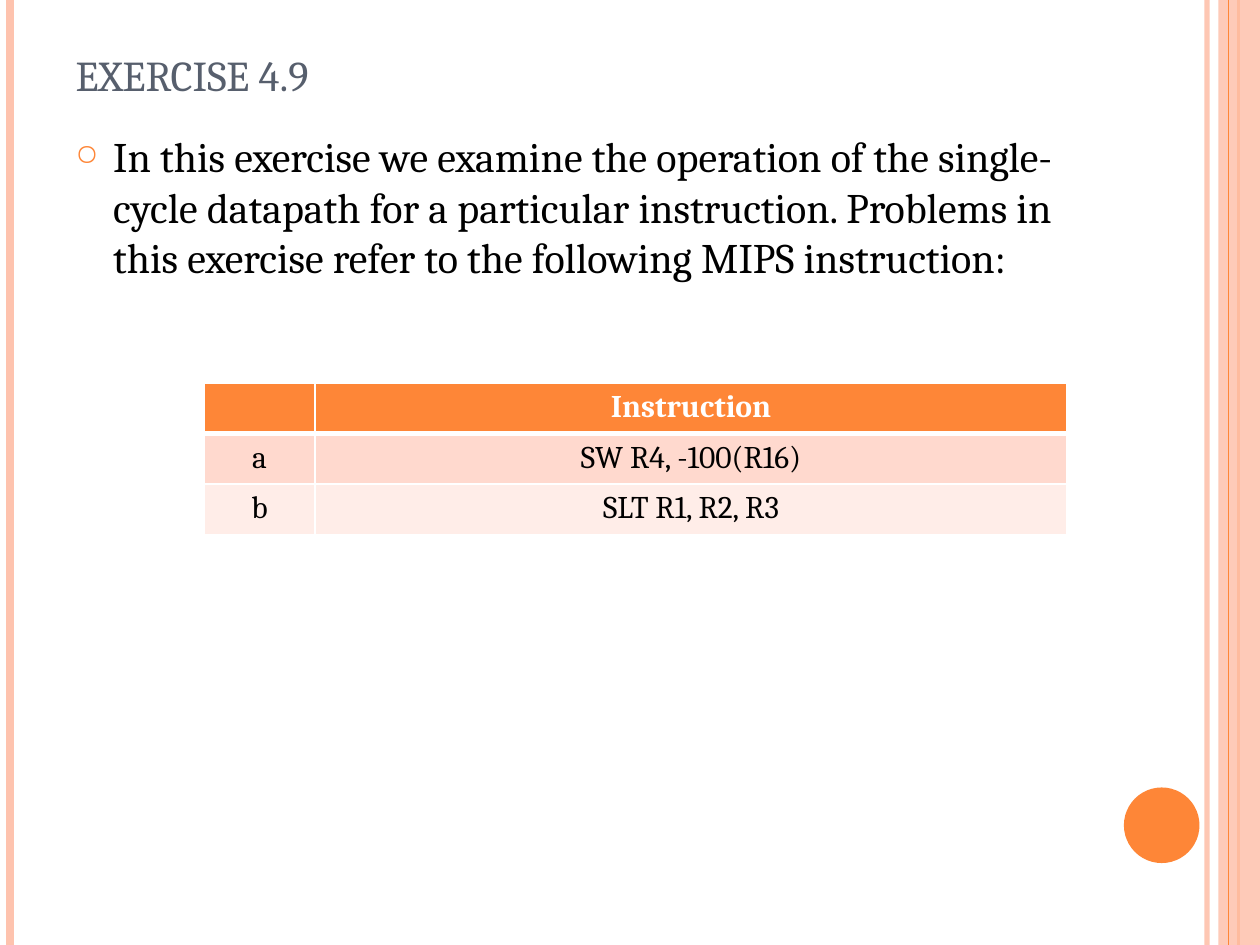
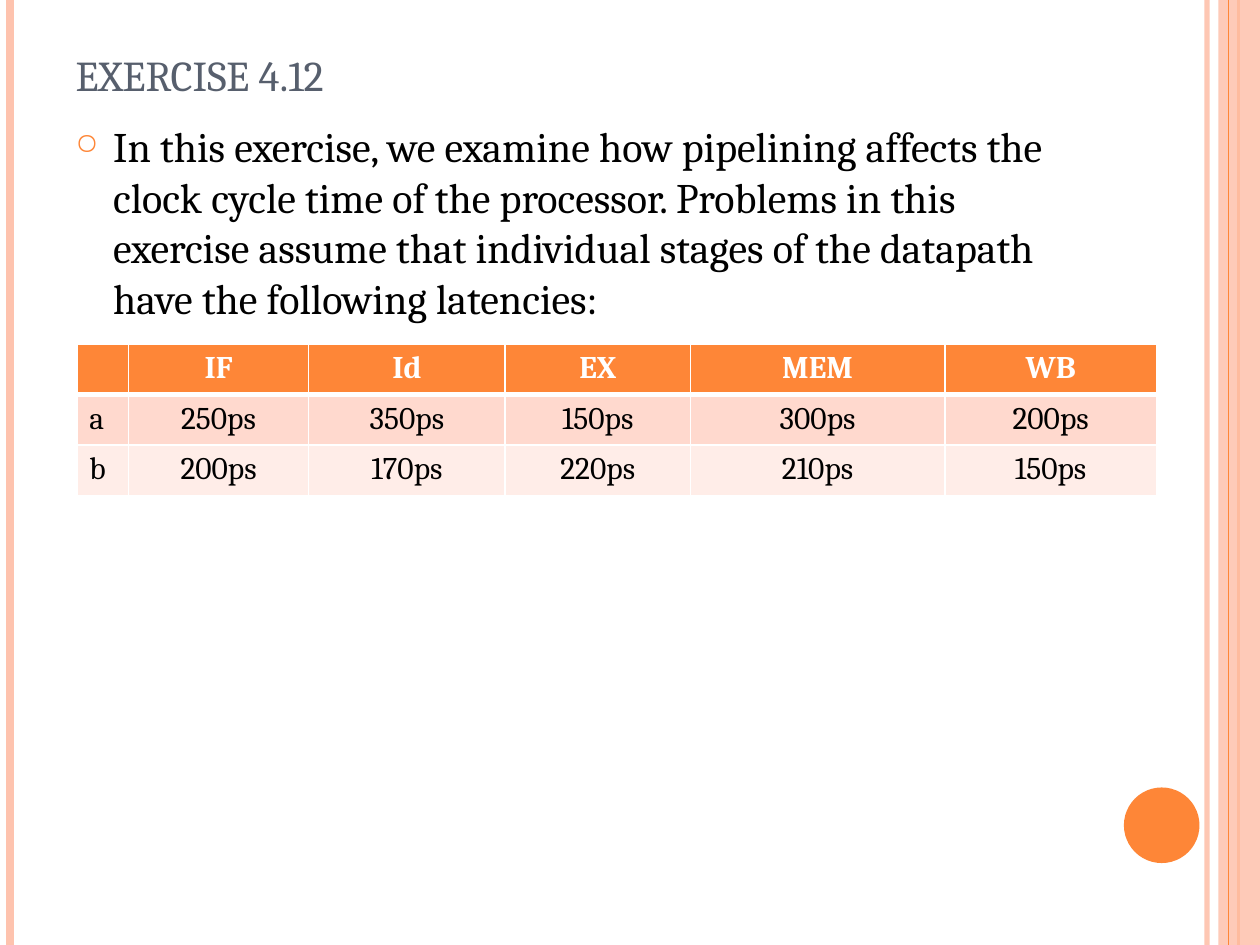
from dataclasses import dataclass

from lxml.etree import SubElement
from pptx import Presentation
from pptx.dml.color import RGBColor
from pptx.enum.shapes import MSO_CONNECTOR, MSO_SHAPE
from pptx.enum.text import MSO_ANCHOR, MSO_AUTO_SIZE, PP_ALIGN
from pptx.oxml.ns import qn
from pptx.util import Inches, Pt


@dataclass(frozen=True)
class Theme:
    font: str = "Cambria"
    title_size: float = 24.3
    body_size: float = 24
    table_size: float = 18
    bullet_percent: int = 70
    orange: str = "FE8637"
    peach: str = "FEC3AE"
    slate: str = "575F6D"
    black: str = "000000"
    white: str = "FFFFFF"
    row_tints: tuple = ("FFD9CE", "FFEDE8")


THEME = Theme()
WIDTH, HEIGHT = Inches(10), Inches(7.5)
COLUMNS, ROWS = 100, 75
LEFT_MARGIN, TEXT_COLUMNS = 5, 81.7
TABLE_ROW = 4

# Vertical rules: column, colour, weight in points, opacity in percent
RULES = [
    (95.8, THEME.peach, 3, 93),
    (0.8, THEME.peach, 4.5, 100),
    (98.3, THEME.orange, 1.5, 100),
]
BAND_RULE = (97.5, THEME.orange, 0.75, 100)


def across(columns):
    return round(WIDTH * columns / COLUMNS)


def down(rows):
    return round(HEIGHT * rows / ROWS)


def grid_box(left, top, width, height):
    return across(left), down(top), across(width), down(height)


def set_opacity(shape, percent):
    if percent < 100:
        for color in shape.element.spPr.iter(qn("a:srgbClr")):
            SubElement(color, qn("a:alpha"), val=str(percent * 1000))


def style_text(para, size, color, bold=False):
    for span in para.runs:
        span.font.name = THEME.font
        span.font.size = Pt(size)
        span.font.bold = bold
        span.font.color.rgb = RGBColor.from_string(color)


# Shared frame
def add_rule(page, column, color, weight, opacity):
    rule = page.shapes.add_connector(
        MSO_CONNECTOR.STRAIGHT, across(column), 0, across(column), HEIGHT)
    rule.line.color.rgb = RGBColor.from_string(color)
    rule.line.width = Pt(weight)
    set_opacity(rule, opacity)
    SubElement(rule.element.spPr, qn("a:effectLst"))


def add_filled(page, kind, box, color, opacity=100):
    shape = page.shapes.add_shape(kind, *box)
    shape.shadow.inherit = False
    shape.fill.solid()
    shape.fill.fore_color.rgb = RGBColor.from_string(color)
    set_opacity(shape, opacity)
    shape.line.fill.background()


def add_frame(page):
    for rule in RULES:
        add_rule(page, *rule)
    add_filled(page, MSO_SHAPE.RECTANGLE, grid_box(96.7, 0, 3.3, ROWS), THEME.peach, 87)
    add_rule(page, *BAND_RULE)
    add_filled(page, MSO_SHAPE.OVAL, grid_box(89.2, 62.5, 6, 6), THEME.orange)


# Title and body text
def set_title(page, text):
    title = page.shapes.title
    title.left, title.top, title.width, title.height = grid_box(
        LEFT_MARGIN, 3, TEXT_COLUMNS, 5.4)
    frame = title.text_frame
    frame.text = text
    frame.auto_size = MSO_AUTO_SIZE.NONE
    frame.vertical_anchor = MSO_ANCHOR.BOTTOM
    para = frame.paragraphs[0]
    para.alignment = PP_ALIGN.LEFT
    style_text(para, THEME.title_size, THEME.slate)


def add_bullet(para):
    properties = para._p.get_or_add_pPr()
    indent = Inches(0.3)
    properties.set("marL", str(indent))
    properties.set("indent", str(-indent))
    color = SubElement(properties, qn("a:buClr"))
    SubElement(color, qn("a:srgbClr"), val=THEME.orange)
    SubElement(properties, qn("a:buSzPct"), val=str(THEME.bullet_percent * 1000))
    SubElement(properties, qn("a:buChar"), char="○")


def add_body(page, text, top, height):
    box = page.shapes.add_textbox(*grid_box(LEFT_MARGIN, top, TEXT_COLUMNS, height))
    frame = box.text_frame
    frame.word_wrap = True
    frame.text = text
    para = frame.paragraphs[0]
    para.space_before = Pt(6)
    add_bullet(para)
    style_text(para, THEME.body_size, THEME.black)


# Tables
def set_borders(cell, top, bottom):
    properties = cell._tc.get_or_add_tcPr()
    for side, weight in (("L", 1), ("R", 1), ("T", top), ("B", bottom)):
        line = SubElement(properties, qn(f"a:ln{side}"), w=str(Pt(weight)))
        fill = SubElement(line, qn("a:solidFill"))
        SubElement(fill, qn("a:srgbClr"), val=THEME.white)


def style_cell(cell, row, alignment):
    header = row == 0
    set_borders(cell, 3 if row == 1 else 1, 3 if header else 1)
    tint = THEME.orange if header else THEME.row_tints[(row - 1) % 2]
    cell.fill.solid()
    cell.fill.fore_color.rgb = RGBColor.from_string(tint)
    para = cell.text_frame.paragraphs[0]
    para.alignment = alignment
    style_text(para, THEME.table_size, THEME.white if header else THEME.black, header)


def add_grid(page, left, top, widths, records, label_alignment):
    box = grid_box(left, top, sum(widths), TABLE_ROW * len(records))
    table = page.shapes.add_table(len(records), len(widths), *box).table
    for column, width in zip(table.columns, widths):
        column.width = across(width)
    for row, record in enumerate(records):
        table.rows[row].height = down(TABLE_ROW)
        for column, text in enumerate(record):
            cell = table.cell(row, column)
            cell.text = text
            style_cell(cell, row, PP_ALIGN.CENTER if column else label_alignment)


def add_page(deck, title):
    page = deck.slides.add_slide(deck.slide_layouts[5])
    add_frame(page)
    set_title(page, title)
    return page


def main():
    deck = Presentation()
    deck.slide_width, deck.slide_height = WIDTH, HEIGHT

    # Single-cycle datapath
    page = add_page(deck, "EXERCISE 4.9")
    add_body(
        page,
        "In this exercise we examine the operation of the single-cycle datapath "
        "for a particular instruction. Problems in this exercise refer to the "
        "following MIPS instruction:",
        top=9.9, height=60.9)
    instructions = [
        ("", "Instruction"),
        ("a", "SW R4, -100(R16)"),
        ("b", "SLT R1, R2, R3"),
    ]
    add_grid(page, 16.2, 30.4, (8.8, 59.7), instructions, PP_ALIGN.CENTER)

    # Pipeline latencies
    page = add_page(deck, "EXERCISE 4.12")
    add_body(
        page,
        "In this exercise, we examine how pipelining affects the clock cycle time "
        "of the processor. Problems in this exercise assume that individual stages "
        "of the datapath have the following latencies:",
        top=9.1, height=61.6)
    latencies = [
        ("", "IF", "Id", "EX", "MEM", "WB"),
        ("a", "250ps", "350ps", "150ps", "300ps", "200ps"),
        ("b", "200ps", "170ps", "220ps", "210ps", "150ps"),
    ]
    add_grid(page, 6.1, 27.3, (4.1, 14.3, 15.6, 14.7, 20.2, 16.8),
             latencies, PP_ALIGN.LEFT)

    deck.save("out.pptx")


if __name__ == "__main__":
    main()
